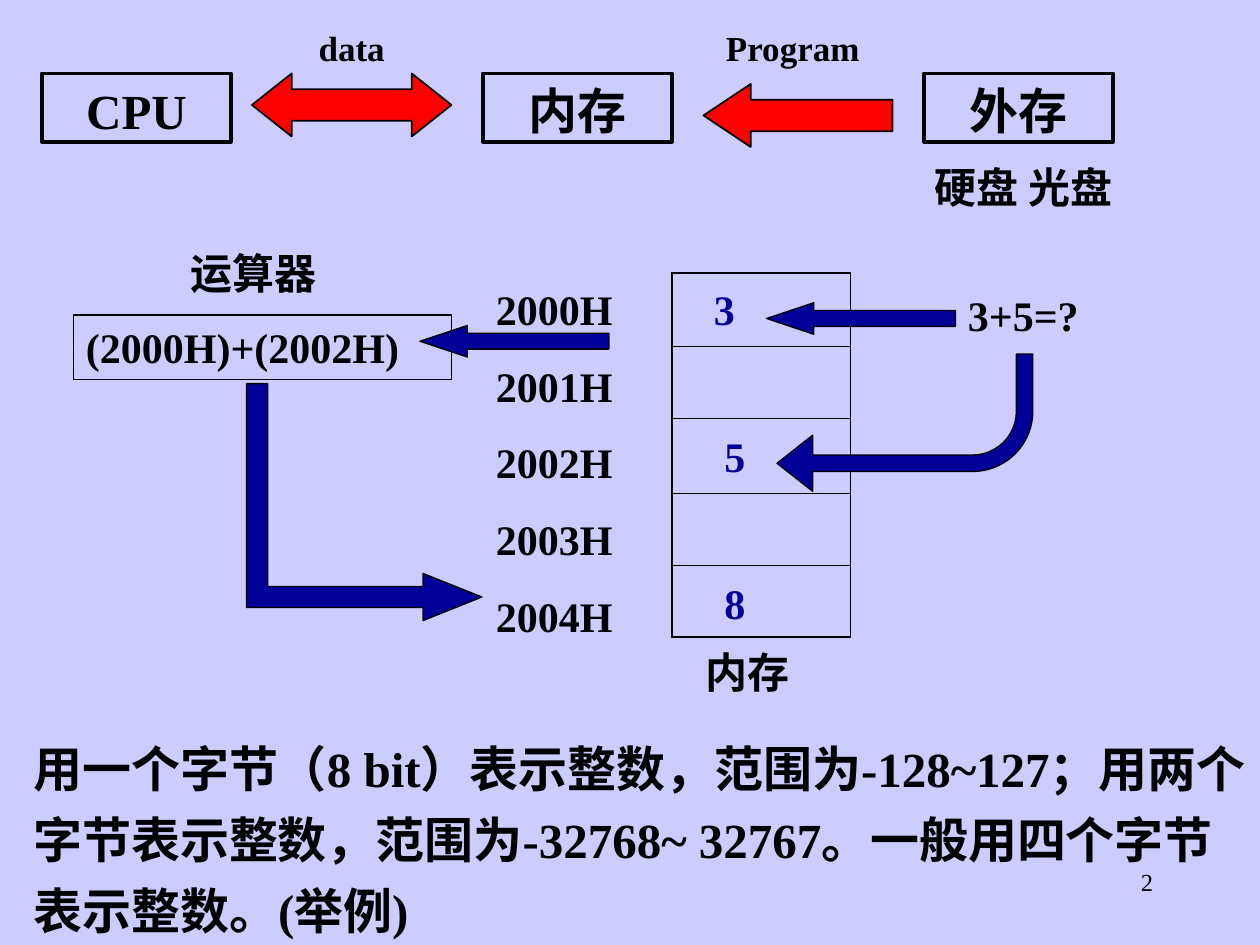
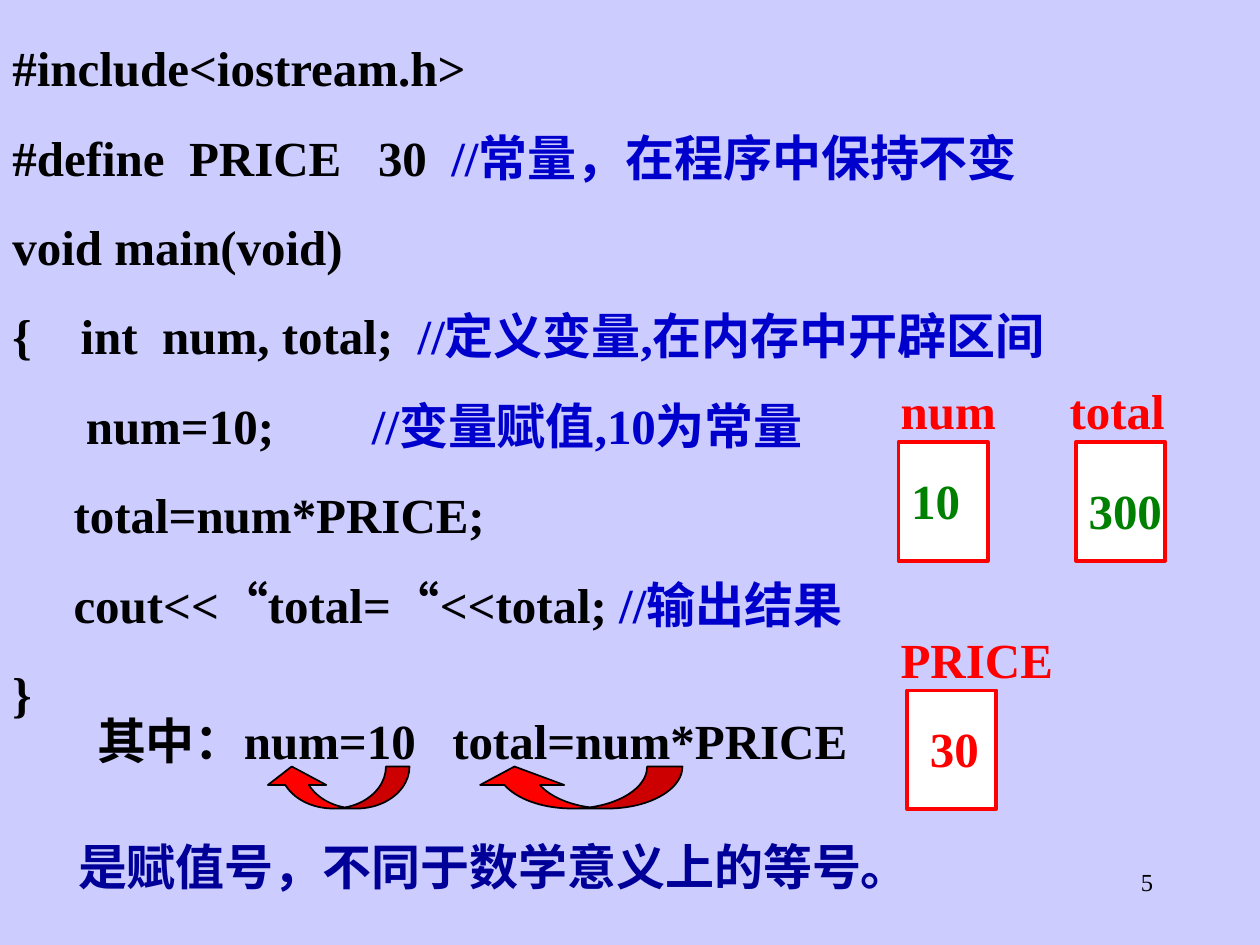
"""Build two slides on memory, variables and assignment."""
from lxml.etree import SubElement
from pptx import Presentation
from pptx.dml.color import RGBColor
from pptx.enum.shapes import MSO_SHAPE
from pptx.enum.text import MSO_ANCHOR, PP_ALIGN
from pptx.oxml.ns import qn
from pptx.util import Pt

FONT = "Times New Roman"
BLACK, WHITE, RED = "000000", "FFFFFF", "FF0000"
NAVY, BLUE, GREEN, LAVENDER = "000099", "0000CC", "008000", "CCCCFF"

WIDE, TIGHT, NONE = (7.2, 3.6), (1.44, 0.72), (0, 0)
BASE = dict(size=24, bold=True, color=BLACK, insets=WIDE, align=PP_ALIGN.LEFT, spacing=1.0, before=15)
FOOTER = BASE | dict(size=14, bold=False, align=PP_ALIGN.RIGHT)
CENTERED = BASE | dict(align=PP_ALIGN.CENTER)
DEVICE = CENTERED | dict(size=28, insets=TIGHT, spacing=1.1)
CAPTION = DEVICE | dict(size=20)
ADDRESS = BASE | dict(insets=(1.44, 0))
STORED = BASE | dict(color=NAVY, insets=NONE)
BODY = BASE | dict(size=28, spacing=1.2)
CODE = BASE | dict(size=28, before=17.5)
REMARK = BASE | dict(size=28, insets=TIGHT, spacing=1.1)
VARIABLE = BODY | dict(color=RED)
VALUE = BODY | dict(insets=(1.44, 3.6))

DEVICES = ["CPU", "内存", "外存"]
ADDRESSES = ["2000H", "2001H", "2002H", "2003H", "2004H"]
ROW_HEIGHTS = [42, 41, 43, 41, 41]
STORED_NUMBERS = [("3", 408, 162), ("5", 414, 246), ("8", 414, 330)]
MEMORY_LABELS = [
    ("data", (168, 12, 66, 28), CAPTION),
    ("Program", (408, 12, 90, 28), CAPTION),
    ("硬盘 光盘", (522, 88.5, 126, 36), CENTERED),
    ("运算器", (102, 138, 108, 36), BASE),
    ("(2000H)+(2002H)", (42, 180, 204, 36), BASE),
    ("3+5=?", (546, 162, 90, 36), BASE),
    ("内存", (396, 366, 84, 36), BASE),
    ("用一个字节（8 bit）表示整数，范围为-128~127；用两个字节表示整数，"
     "范围为-32768~ 32767。一般用四个字节表示整数。(举例)", (12, 412, 708, 128), BODY),
]
MEMORY_ARROWS = [
    (MSO_SHAPE.LEFT_RIGHT_ARROW, (144, 42, 114, 36), RED, 1, [0.5, 0.63], 0),
    (MSO_SHAPE.LEFT_ARROW, (402, 48, 108, 36), RED, 1, [0.5, 0.75], 0),
    (MSO_SHAPE.LEFT_ARROW, (240, 186, 108, 18), NAVY, 0.75, [0.5, 1.5], 0),
    (MSO_SHAPE.LEFT_ARROW, (438, 173, 108, 18), NAVY, 0.75, [0.5, 1.5], 0),
    (MSO_SHAPE.BENT_ARROW, (444, 202.3, 146.2, 78.5), NAVY, 0.75, [0.12, 0.205, 0.26, 0.44], 180),
    (MSO_SHAPE.BENT_UP_ARROW, (140.4, 219.6, 135.4, 134.6), NAVY, 0.75, [0.09, 0.1, 0.25], 90),
]

PROGRAM = [
    ("#include<iostream.h>", ""),
    ("#define  PRICE   30  ", "//常量，在程序中保持不变"),
    ("void main(void)", ""),
    ("{    int  num, total;  ", "//定义变量,在内存中开辟区间"),
    ("      num=10;        ", "//变量赋值,10为常量"),
    ("     total=num*PRICE;", ""),
    ("     cout<<“total=“<<total; ", "//输出结果"),
    ("}", ""),
]
ASSIGNMENTS = "其中：num=10\ttotal=num*PRICE"
ASSIGNMENT_TAB = 203
CONCLUSION = "是赋值号，不同于数学意义上的等号。"
ASSIGNMENT_ARROWS = [
    ((150, 438, 84, 24), [0.56, 1.39, 0.44]),
    ((270, 438, 120, 24), [0.84, 2, 0.44]),
]
CELL_WIDTH, CELL_HEIGHT, NAME_RISE = 51, 67.7, 45.4
VARIABLES = [
    dict(name="num", name_left=507.6, name_width=73.5, cell=(513.4, 252.7),
         value="10", value_at=(519.2, 258.5), color=GREEN),
    dict(name="total", name_left=604.1, name_width=73.5, cell=(614.9, 252.7),
         value="300", value_at=(620.6, 264.2), color=GREEN),
    dict(name="PRICE", name_left=507.6, name_width=114, cell=(518.4, 394.6),
         value="30", value_at=(529.9, 400.3), color=RED),
]


def rgb(value):
    """Turn a hex string into a colour."""
    return RGBColor.from_string(value)


def points(values):
    """Turn plain numbers into lengths."""
    return [Pt(value) for value in values]


def write(shape, paragraphs, style):
    """Fill a shape with paragraphs, each a list of (text, colour) runs."""
    frame = shape.text_frame
    horizontal, vertical = points(style["insets"])
    settings = dict(word_wrap=True, vertical_anchor=MSO_ANCHOR.TOP, margin_left=horizontal,
                    margin_right=horizontal, margin_top=vertical, margin_bottom=vertical)
    for name, value in settings.items():
        setattr(frame, name, value)
    for index, runs in enumerate(paragraphs):
        paragraph = frame.add_paragraph() if index else frame.paragraphs[0]
        paragraph.alignment = style["align"]
        paragraph.line_spacing = style["spacing"]
        paragraph.space_before = Pt(style["before"] if index else 0)
        for text, color in runs:
            run = paragraph.add_run()
            run.text = text
            for name, value in dict(name=FONT, size=Pt(style["size"]), bold=style["bold"]).items():
                setattr(run.font, name, value)
            run.font.color.rgb = rgb(color)


def add_text(slide, text, box, style):
    """Add a text box of one paragraph."""
    shape = slide.shapes.add_textbox(*points(box))
    write(shape, [[(text, style["color"])]], style)
    return shape


def add_shape(slide, kind, box, fill, line, width, adjustments=(), rotation=0):
    """Add a preset shape, unfilled when fill is None."""
    shape = slide.shapes.add_shape(kind, *points(box))
    shape.shadow.inherit = False
    if fill:
        shape.fill.solid()
        shape.fill.fore_color.rgb = rgb(fill)
    else:
        shape.fill.background()
    shape.line.color.rgb = rgb(line)
    shape.line.width = Pt(width)
    for index, value in enumerate(adjustments):
        shape.adjustments[index] = value
    shape.rotation = rotation
    return shape


def add_slide(presentation, number):
    """Add a blank slide with the shared background and page number."""
    slide = presentation.slides.add_slide(presentation.slide_layouts[6])
    slide.background.fill.solid()
    slide.background.fill.fore_color.rgb = rgb(LAVENDER)
    add_text(slide, number, (516, 492, 150, 36), FOOTER)
    return slide


def set_borders(cell, widths):
    """Draw the borders of a table cell from a dict of edge widths."""
    properties = cell._tc.get_or_add_tcPr()
    for edge, width in widths.items():
        line = SubElement(properties, qn(f"a:ln{edge}"), w=str(Pt(width)))
        fill = SubElement(line, qn("a:solidFill"))
        SubElement(fill, qn("a:srgbClr"), val=BLACK)


def add_memory_table(slide):
    """Add the column of memory cells."""
    count = len(ROW_HEIGHTS)
    box = (384, 156, 102, sum(ROW_HEIGHTS))
    table = slide.shapes.add_table(count, 1, *points(box)).table
    table.first_row = table.horz_banding = False
    for index, height in enumerate(ROW_HEIGHTS):
        table.rows[index].height = Pt(height)
        cell = table.cell(index, 0)
        top = 0.45 if index else 1.08
        bottom = 0.45 if index < count - 1 else 1.08
        set_borders(cell, dict(L=1.08, R=1.08, T=top, B=bottom))
        cell.fill.background()


def build_memory_slide(presentation):
    """Show how data moves between processor and memory."""
    slide = add_slide(presentation, "2")
    add_memory_table(slide)
    addresses = slide.shapes.add_textbox(*points((282, 162, 78, 204)))
    write(addresses, [[(address, BLACK)] for address in ADDRESSES], ADDRESS)
    for number, left, top in STORED_NUMBERS:
        add_text(slide, number, (left, top, 30, 28.8), STORED)
    add_shape(slide, MSO_SHAPE.RECTANGLE, (42, 180, 216, 36.7), None, BLACK, 0.75)
    for index, device in enumerate(DEVICES):
        box = (24 + 252 * index, 42, 108, 39)
        shape = add_shape(slide, MSO_SHAPE.RECTANGLE, box, None, BLACK, 2.25)
        write(shape, [[(device, BLACK)]], DEVICE)
    for kind, box, fill, width, adjustments, rotation in MEMORY_ARROWS:
        add_shape(slide, kind, box, fill, BLACK, width, adjustments, rotation)
    for text, box, style in MEMORY_LABELS:
        add_text(slide, text, box, style)


def build_program_slide(presentation):
    """Show a program next to the variables it fills."""
    slide = add_slide(presentation, "5")
    listing = slide.shapes.add_textbox(*points((0, 18, 708, 399)))
    lines = [[(code, BLACK)] + ([(comment, BLUE)] if comment else []) for code, comment in PROGRAM]
    write(listing, lines, CODE)

    remark = add_text(slide, ASSIGNMENTS, (54, 402, 492, 39), REMARK)
    properties = remark.text_frame.paragraphs[0]._p.get_or_add_pPr()
    tabs = SubElement(properties, qn("a:tabLst"))
    SubElement(tabs, qn("a:tab"), pos=str(Pt(ASSIGNMENT_TAB)), algn="l")
    for box, adjustments in ASSIGNMENT_ARROWS:
        arrow = add_shape(slide, MSO_SHAPE.CURVED_UP_ARROW, box, RED, BLACK, 1, adjustments)
        arrow.element.spPr.xfrm.set("flipH", "1")
    add_text(slide, CONCLUSION, (43.2, 474, 540, 39), REMARK | dict(color=NAVY))

    for variable in VARIABLES:
        left, top = variable["cell"]
        add_shape(slide, MSO_SHAPE.RECTANGLE, (left, top, CELL_WIDTH, CELL_HEIGHT), WHITE, RED, 2.25)
        name_box = (variable["name_left"], top - NAME_RISE, variable["name_width"], 47.5)
        add_text(slide, variable["name"], name_box, VARIABLE)
        value_box = (*variable["value_at"], CELL_WIDTH, 47.5)
        add_text(slide, variable["value"], value_box, VALUE | dict(color=variable["color"]))


def main():
    """Build and save the presentation."""
    presentation = Presentation()
    presentation.slide_width, presentation.slide_height = Pt(720), Pt(540)
    build_memory_slide(presentation)
    build_program_slide(presentation)
    presentation.save("out.pptx")


if __name__ == "__main__":
    main()
